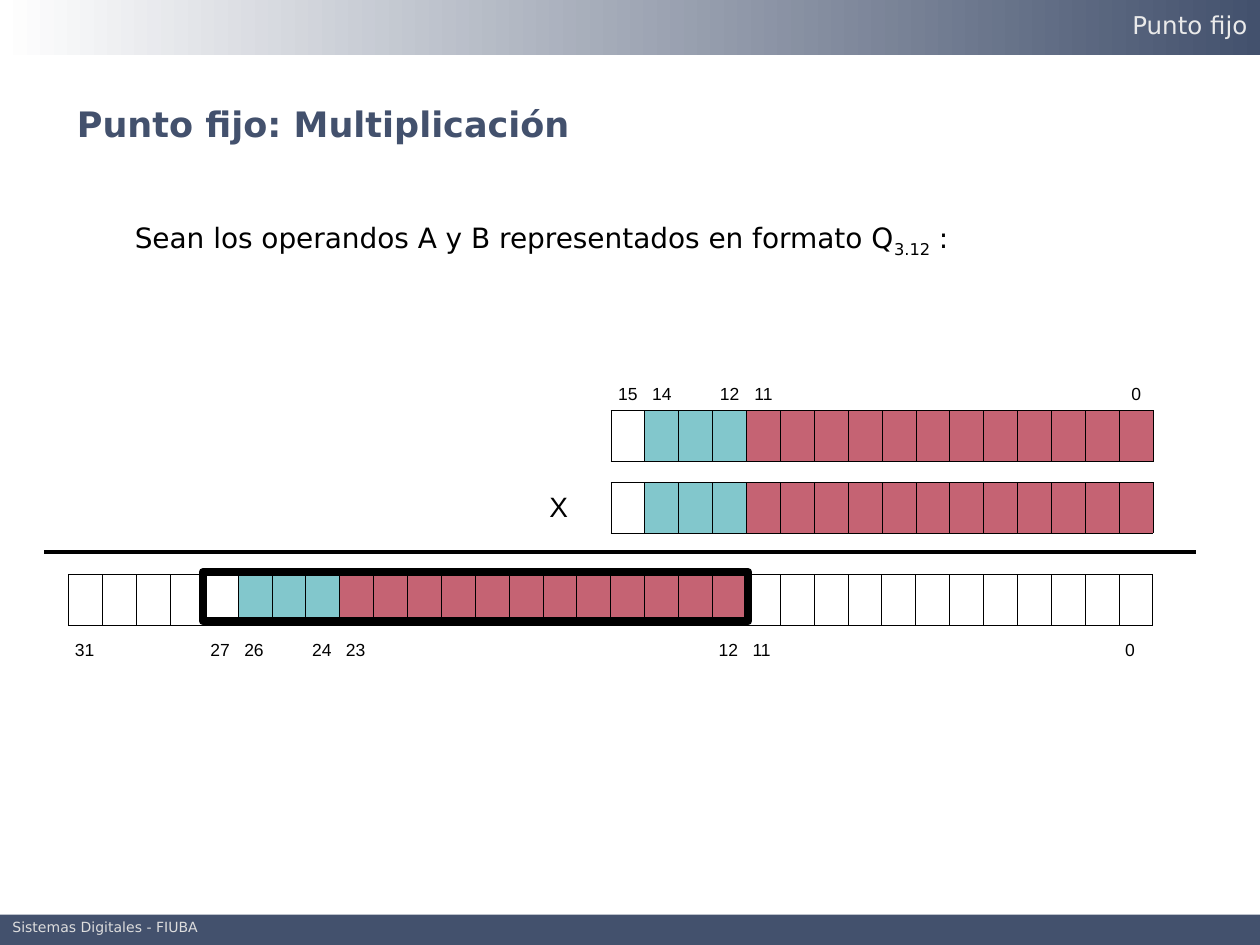
import pptx
import pptx.util
import pptx.oxml
import pptx.oxml.ns
import pptx.dml.color
import pptx.enum.text
import pptx.enum.shapes

Inches, Pt = pptx.util.Inches, pptx.util.Pt
RGB = pptx.dml.color.RGBColor
ALIGN, ANCHOR = pptx.enum.text.PP_ALIGN, pptx.enum.text.MSO_ANCHOR
RECT = pptx.enum.shapes.MSO_SHAPE.RECTANGLE
LINE = pptx.enum.shapes.MSO_CONNECTOR.STRAIGHT

NAVY = RGB(0x43, 0x51, 0x6D)
TEAL = RGB(0x82, 0xC7, 0xCC)
ROSE = RGB(0xC5, 0x63, 0x73)
BLACK, WHITE = RGB(0, 0, 0), RGB(255, 255, 255)
PALE, GREY = RGB(0xEA, 0xEA, 0xEA), RGB(0xDD, 0xDD, 0xDD)
SANS, ARIAL = "DejaVu Sans", "Arial"

# Content: each number is a list of (bits, colour) fields, high bit first
TITLE = "Punto fijo: Multiplicación"
BODY = [("Sean los operandos A y B representados en formato Q", 0),
        ("3.12", -25), (" :", 0)]
HEAD, FOOT = "Punto fijo", "Sistemas Digitales - FIUBA"
Q_FORM = [(1, None), (3, TEAL), (12, ROSE)]
PROD = [(4, None)] + Q_FORM + [(12, None)]
Q_MARKS = [15, 14, 12, 11, 0]
P_MARKS = [31, 27, 26, 24, 23, 12, 11, 0]

# Grid of bits, counted from the right edge
WIDE, HIGH = 10, 7.5
STEP, ROW, RIGHT = 7 / 26, 0.4, 9.16
LEAD = 10  # free columns left of an operand
SIGN = 8   # column of the times sign
SIDES = {"L": (0, -1), "R": (0, 1), "T": (-1, 0), "B": (1, 0)}


def write(frame, runs, size, font, color, align=ALIGN.LEFT, bold=False, space=None):
    par = frame.paragraphs[0]
    par.alignment = align
    par.line_spacing = space
    for text, base in runs:
        run = par.add_run()
        run.text = text
        run.font.size, run.font.name, run.font.bold = Pt(size), font, bold
        run.font.color.rgb = color
        if base:
            run._r.get_or_add_rPr().set("baseline", str(base * 1000))


def add_text(slide, box, *args, **style):
    frame = slide.shapes.add_textbox(*map(Inches, box)).text_frame
    frame.word_wrap = True
    write(frame, *args, **style)
    return frame


def add_rect(slide, *box):
    rect = slide.shapes.add_shape(RECT, *map(Inches, box))
    rect.shadow.inherit = False
    rect.line.fill.background()
    return rect


def edge(cell, side, drawn):
    ink = f'<a:solidFill><a:srgbClr val="{BLACK}"/></a:solidFill>' if drawn else "<a:noFill/>"
    cell._tc.get_or_add_tcPr().append(pptx.oxml.parse_xml(
        f'<a:ln{side} {pptx.oxml.ns.nsdecls("a")} w="{Pt(0.45)}">{ink}</a:ln{side}>'))


def add_bits(slide, top, fields, lead=0, rows=1, bits=0, labels=(), align=ALIGN.LEFT,
             anchor=ANCHOR.MIDDLE):
    """Draw one row of bits; labels are (row, column, text, size)."""
    tones = [tone for count, tone in fields for _ in range(count)]
    cols = lead + len(tones)
    wide = cols * STEP
    grid = slide.shapes.add_table(rows, cols, *map(Inches, (RIGHT - wide, top, wide, rows * ROW))).table
    grid.first_row = grid.horz_banding = False
    style = grid._tbl.tblPr.find(pptx.oxml.ns.qn("a:tableStyleId"))
    style.text = "{2D5ABB26-0587-4C30-8999-92F81FD0307C}"
    for col in grid.columns:
        col.width = Inches(STEP)

    def is_bit(row, col):
        return row == bits and lead <= col < cols

    for row in range(rows):
        for col in range(cols):
            cell = grid.cell(row, col)
            cell.margin_left = cell.margin_right = Inches(0.05)
            cell.vertical_anchor = anchor
            for side, (down, over) in SIDES.items():
                edge(cell, side, is_bit(row, col) or is_bit(row + down, col + over))
            tone = tones[col - lead] if is_bit(row, col) else None
            if tone:
                cell.fill.solid()
                cell.fill.fore_color.rgb = tone
            else:
                cell.fill.background()
    for row, col, text, size in labels:
        write(grid.cell(row, col).text_frame, [(text, 0)], size, ARIAL, BLACK, align)


def main():
    deck = pptx.Presentation()
    deck.slide_width, deck.slide_height = Inches(WIDE), Inches(HIGH)
    slide = deck.slides.add_slide(deck.slide_layouts[5])

    # Title and statement
    title = slide.shapes.title
    title.left, title.top, title.width, title.height = map(Inches, (0.51, 0.76, 6.93, 0.44))
    title.text_frame.vertical_anchor = ANCHOR.TOP
    write(title.text_frame, [(TITLE, 0)], 20, SANS, NAVY, bold=True)
    body = add_text(slide, (0.43, 1.47, 9.14, 5.06), BODY, 16, SANS, BLACK, space=1.5)
    body.margin_left, body.margin_top = Inches(0.64), Inches(0.13)

    # Footer band
    foot = add_rect(slide, 0, 7.26, WIDE, 0.24)
    foot.fill.solid()
    foot.fill.fore_color.rgb = NAVY
    add_text(slide, (0, 7.28, 2.87, 0.2), [(FOOT, 0)], 8, SANS, GREY, space=0.7)

    # Operands and product
    marks = [(0, LEAD + 15 - bit, str(bit), 10) for bit in Q_MARKS]
    add_bits(slide, 2.86, Q_FORM, LEAD, 2, 1, marks, ALIGN.CENTER, ANCHOR.BOTTOM)
    add_bits(slide, 3.83, Q_FORM, LEAD, labels=[(0, SIGN, "X", 16)])
    marks = [(1, 31 - bit, str(bit), 10) for bit in P_MARKS]
    add_bits(slide, 4.56, PROD, rows=2, labels=marks)

    # Sum line and frame around the kept bits
    rule = slide.shapes.add_connector(LINE, *map(Inches, (0.35, 4.38, 9.49, 4.38)))
    rule.line.color.rgb, rule.line.width = BLACK, Pt(2.25)
    rule._element.spPr.append(pptx.oxml.parse_xml(
        f'<a:effectLst {pptx.oxml.ns.nsdecls("a")}/>'))
    kept = add_rect(slide, 1.61, 4.54, 4.33, 0.39)
    kept.fill.background()
    kept.line.color.rgb, kept.line.width = BLACK, Pt(4.5)

    # Header band
    band = add_rect(slide, 0, 0, WIDE, 0.44)
    band.fill.gradient()
    band.fill.gradient_angle = 0
    for stop, tone in zip(band.fill.gradient_stops, (WHITE, NAVY)):
        stop.color.rgb = tone
    add_text(slide, (0.08, 0.03, 9.92, 0.34), [(HEAD, 0)], 14, SANS, PALE, align=ALIGN.RIGHT)

    deck.save("out.pptx")


if __name__ == "__main__":
    main()
